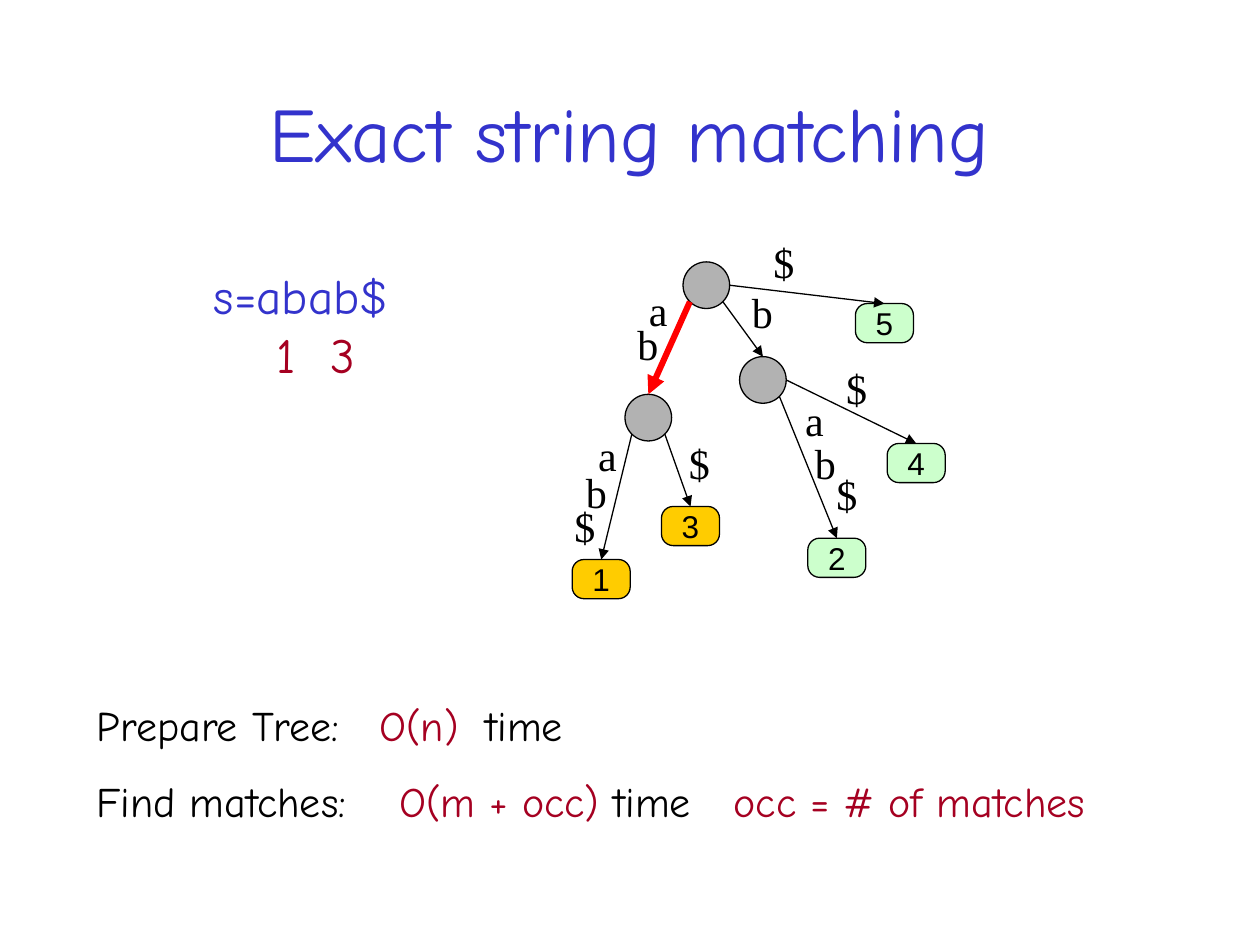
from dataclasses import dataclass
from math import cos, radians, sin

from lxml.etree import SubElement
from pptx import Presentation
from pptx.dml.color import RGBColor as RGB
from pptx.enum.shapes import MSO_CONNECTOR as Line, MSO_SHAPE as Shape
from pptx.enum.text import MSO_ANCHOR as Anchor, PP_ALIGN as Align
from pptx.oxml.ns import qn
from pptx.util import Cm, Pt


@dataclass(frozen=True)
class Theme:
    ink: str = "000000"
    blue: str = "3333CC"
    crimson: str = "A50021"
    red: str = "FF0000"
    node: str = "B2B2B2"
    match: str = "FFCC00"
    leaf: str = "CCFFCC"
    hand: str = "Comic Neue"
    serif: str = "Times New Roman"
    sans: str = "Arial"
    title_pt: int = 44
    example_pt: int = 28
    body_pt: int = 24
    leaf_pt: int = 18
    thin_pt: float = 0.75
    thick_pt: float = 3.5


T = Theme()
NODE_SIZE = 0.94
LEAF_W, LEAF_H = 1.17, 0.79

NODES = {"root": (14.24, 5.75), "ab": (13.07, 8.42), "b": (15.38, 7.66)}
LEAVES = {
    "1": (12.12, 11.28, T.match),
    "2": (16.87, 10.85, T.leaf),
    "3": (13.92, 10.21, T.match),
    "4": (18.47, 8.94, T.leaf),
    "5": (17.83, 6.12, T.leaf),
}
DOWN_LEFT, DOWN_RIGHT, RIGHT = 135, 45, 0
EDGES = [
    ("root", DOWN_RIGHT, "b"),
    ("root", RIGHT, "5"),
    ("ab", DOWN_LEFT, "1"),
    ("ab", DOWN_RIGHT, "3"),
    ("b", DOWN_RIGHT, "2"),
    ("b", RIGHT, "4"),
]
EDGE_LABELS = [
    ("a", 12.83, 5.61), ("b", 12.6, 6.3),
    ("a", 11.81, 8.53), ("b", 11.56, 9.27), ("$", 11.33, 9.96),
    ("a", 15.98, 7.82), ("b", 16.18, 8.69), ("$", 16.61, 9.32),
    ("b", 14.91, 5.66), ("$", 13.64, 8.69),
    ("$", 16.81, 7.19), ("$", 15.34, 4.65),
]


def style(r, font, size, color):
    r.font.name = font
    r.font.size = Pt(size)
    r.font.color.rgb = RGB.from_string(color)


def set_tabs(p, stops):
    tabs = SubElement(p._p.get_or_add_pPr(), qn("a:tabLst"))
    for stop in stops:
        SubElement(tabs, qn("a:tab"), pos=str(Cm(stop)), algn="l")


def add_text(s, box, lines, font, size, align=Align.LEFT, anchor=Anchor.TOP, gap=0):
    tf = s.shapes.add_textbox(*map(Cm, box)).text_frame
    tf.word_wrap = True
    tf.vertical_anchor = anchor
    for i, (stops, runs) in enumerate(lines):
        p = tf.add_paragraph() if i else tf.paragraphs[0]
        p.alignment = align
        if i and gap:
            p.space_before = Pt(gap)
        if stops:
            set_tabs(p, stops)
        for text, color in runs:
            r = p.add_run()
            r.text = text
            style(r, font, size, color)


def add_box(s, kind, x, y, w, h, fill):
    sp = s.shapes.add_shape(kind, Cm(x), Cm(y), Cm(w), Cm(h))
    sp.shadow.inherit = False
    sp.fill.solid()
    sp.fill.fore_color.rgb = RGB.from_string(fill)
    sp.line.color.rgb = RGB.from_string(T.ink)
    sp.line.width = Pt(T.thin_pt)
    return sp


def add_node(s, cx, cy):
    half = NODE_SIZE / 2
    add_box(s, Shape.OVAL, cx - half, cy - half, NODE_SIZE, NODE_SIZE, T.node)


def add_leaf(s, text, cx, top, fill):
    sp = add_box(s, Shape.ROUNDED_RECTANGLE, cx - LEAF_W / 2, top, LEAF_W, LEAF_H, fill)
    sp.adjustments[0] = 0.3
    tf = sp.text_frame
    tf.text = text
    tf.word_wrap = False
    tf.vertical_anchor = Anchor.MIDDLE
    p = tf.paragraphs[0]
    p.alignment = Align.CENTER
    style(p.runs[0], T.sans, T.leaf_pt, T.ink)


def add_edge(s, parent, angle, child, color=T.ink, width=T.thin_pt):
    cx, cy = NODES[parent]
    half = NODE_SIZE / 2
    x1 = cx + half * cos(radians(angle))
    y1 = cy + half * sin(radians(angle))
    if child in NODES:
        x2, y2 = NODES[child][0], NODES[child][1] - half
    else:
        x2, y2 = LEAVES[child][:2]
    c = s.shapes.add_connector(Line.STRAIGHT, Cm(x1), Cm(y1), Cm(x2), Cm(y2))
    c.line.color.rgb = RGB.from_string(color)
    c.line.width = Pt(width)
    SubElement(c.line._get_or_add_ln(), qn("a:tailEnd"), type="triangle")
    SubElement(c._element.spPr, qn("a:effectLst"))


def add_tree(s):
    for centre in NODES.values():
        add_node(s, *centre)
    for text, leaf in LEAVES.items():
        add_leaf(s, text, *leaf)
    for text, x, y in EDGE_LABELS:
        add_text(s, (x, y, 1.07, 1.27), [((), [(text, T.ink)])], T.serif, T.body_pt)
    for edge in EDGES:
        add_edge(s, *edge)
    add_edge(s, "root", DOWN_LEFT, "ab", T.red, T.thick_pt)


def main():
    prs = Presentation()
    prs.slide_width, prs.slide_height = Cm(25.4), Cm(19.05)
    s = prs.slides.add_slide(prs.slide_layouts[6])
    title = [((), [("Exact string matching", T.blue)])]
    add_text(s, (1.9, 1.07, 21.6, 3.17), title, T.hand, T.title_pt,
             Align.CENTER, Anchor.MIDDLE)
    add_tree(s)
    costs = [
        ((5.7, 7.84), [("Prepare Tree:\t", T.ink), ("O(n)", T.crimson),
                       ("\ttime", T.ink)]),
        ((6.1, 12.84), [("Find matches:\t", T.ink), ("O(m + occ)", T.crimson),
                        (" time\t", T.ink), ("occ = # of matches", T.crimson)]),
    ]
    add_text(s, (1.7, 13.97, 21.6, 2.82), costs, T.hand, T.body_pt, gap=15)
    example = [
        ((), [("s=abab$", T.blue)]),
        ((1.26, 2.35), [("\t1\t3", T.crimson)]),
    ]
    add_text(s, (4.06, 5.23, 4.2, 2.64), example, T.hand, T.example_pt)
    prs.save("out.pptx")


if __name__ == "__main__":
    main()
